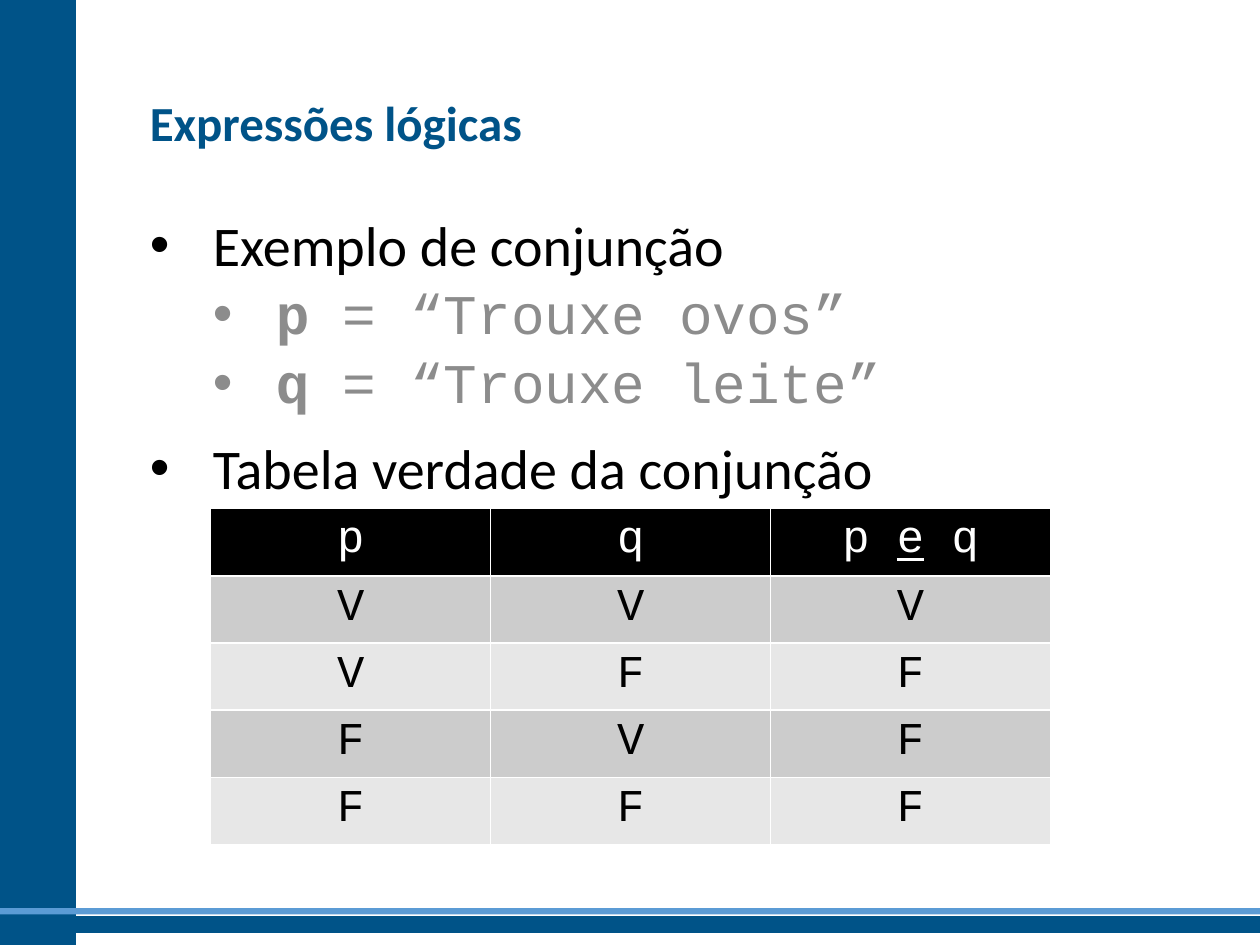
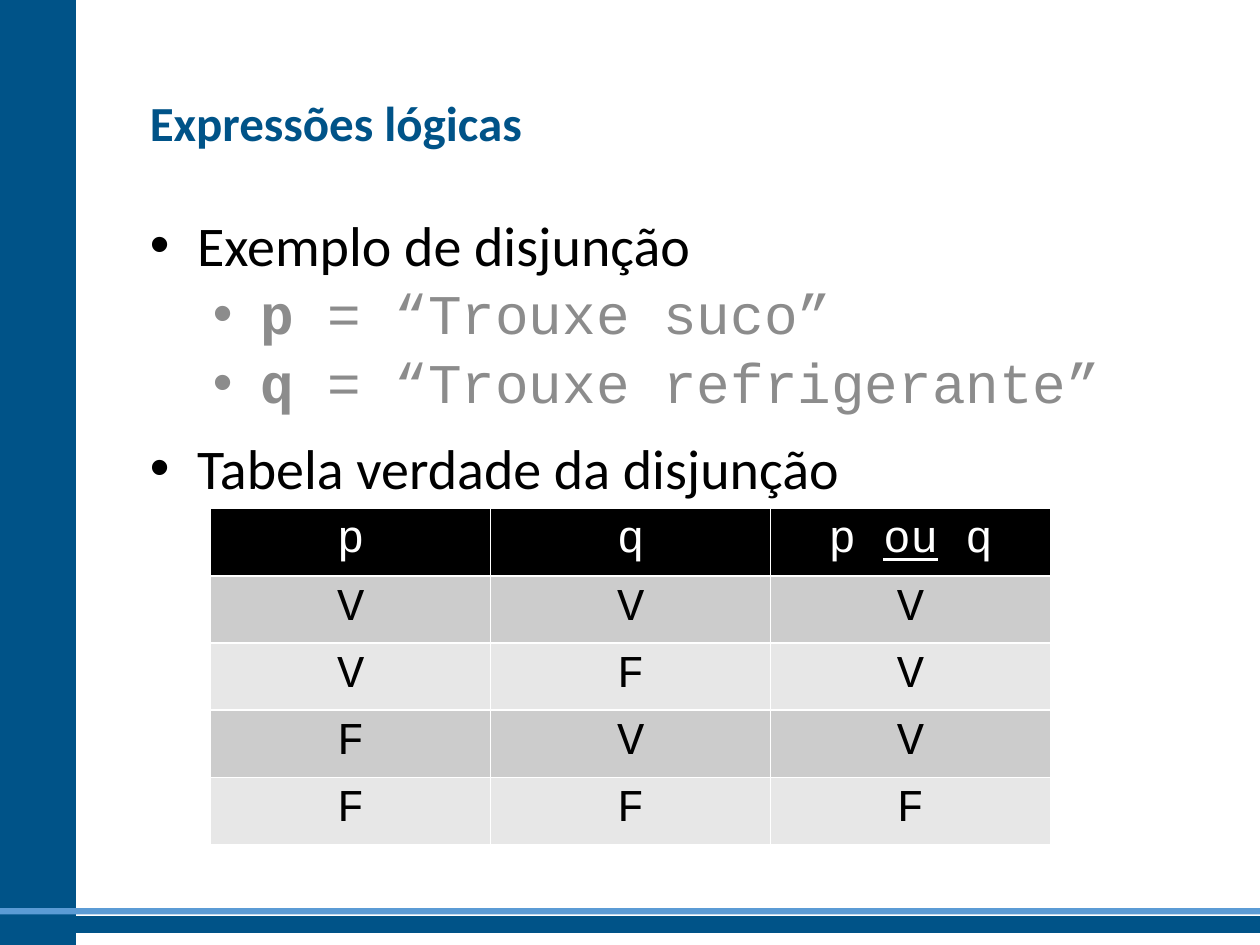
from lxml import etree
from pptx import Presentation
from pptx.dml.color import RGBColor
from pptx.enum.shapes import MSO_SHAPE
from pptx.enum.text import MSO_ANCHOR, PP_ALIGN
from pptx.oxml.ns import qn
from pptx.util import Pt

RECT = MSO_SHAPE.RECTANGLE
MIDDLE = MSO_ANCHOR.MIDDLE
CENTER = PP_ALIGN.CENTER

NAVY = RGBColor(0x00, 0x53, 0x88)
SKY = RGBColor(0x5B, 0x9B, 0xD5)
BLACK = RGBColor(0x00, 0x00, 0x00)
WHITE = RGBColor(0xFF, 0xFF, 0xFF)
GRAY = RGBColor(0x8C, 0x8C, 0x8C)
ROW_FILLS = RGBColor(0xCC, 0xCC, 0xCC), RGBColor(0xE7, 0xE7, 0xE7)

SANS = "Calibri"
MONO = "Courier New"

SLIDE_W, SLIDE_H = 720, 540
TEXT_LEFT, TEXT_W = 78.5, 621.5
SUB_INDENT = 36
TABLE_LEFT, TABLE_TOP = 120.4, 290.6
COL_W, ROW_H = 160, 36.6


def add_run(p, text, size, font, color, bold=False, underline=False):
    r = p.add_run()
    r.text = text
    r.font.size = Pt(size)
    r.font.name = font
    r.font.color.rgb = color
    r.font.bold = bold
    r.font.underline = underline


def add_band(slide, left, top, width, height, color, outlined=True):
    sp = slide.shapes.add_shape(RECT, Pt(left), Pt(top), Pt(width), Pt(height))
    sp.shadow.inherit = False
    sp.fill.solid()
    sp.fill.fore_color.rgb = color
    if outlined:
        sp.line.color.rgb = color
        sp.line.width = Pt(1)
    else:
        sp.line.fill.background()


def add_text_box(slide, top, height):
    box = slide.shapes.add_textbox(Pt(TEXT_LEFT), Pt(top), Pt(TEXT_W), Pt(height))
    tf = box.text_frame
    tf.word_wrap = True
    return tf


def add_title(slide, text):
    tf = add_text_box(slide, 39, 65)
    tf.vertical_anchor = MIDDLE
    p = tf.paragraphs[0]
    p.line_spacing = 0.9
    p.space_before = Pt(10)
    add_run(p, text, 28, SANS, NAVY, bold=True)


def set_bullet(p, left, hanging):
    pPr = p._p.get_or_add_pPr()
    pPr.set("marL", str(Pt(left)))
    pPr.set("indent", str(-Pt(hanging)))
    etree.SubElement(pPr, qn("a:buFont"), typeface="Arial")
    etree.SubElement(pPr, qn("a:buChar"), char="•")


def add_topic(p, text, hanging):
    p.space_before = Pt(10)
    set_bullet(p, hanging, hanging)
    add_run(p, text, 32, SANS, BLACK)


def add_proposition(p, name, meaning, hanging):
    p.level = 1
    p.line_spacing = 0.9
    p.space_before = Pt(5)
    set_bullet(p, SUB_INDENT + hanging, hanging)
    add_run(p, name, 32, MONO, GRAY, bold=True)
    add_run(p, f" = “{meaning}”", 32, MONO, GRAY)


def add_body(slide, operation, article_topic, meanings, hanging):
    tf = add_text_box(slide, 116.6, 348)
    add_topic(tf.paragraphs[0], f"Exemplo de {operation}", hanging)
    for name, meaning in zip("pq", meanings):
        add_proposition(tf.add_paragraph(), name, meaning, hanging)
    add_topic(tf.add_paragraph(), article_topic, hanging)


def set_borders(cell):
    tcPr = cell._tc.get_or_add_tcPr()
    for i, side in enumerate(("lnL", "lnR", "lnT", "lnB")):
        ln = etree.Element(qn(f"a:{side}"), w=str(Pt(1)))
        fill = etree.SubElement(ln, qn("a:solidFill"))
        etree.SubElement(fill, qn("a:srgbClr"), val=str(WHITE))
        tcPr.insert(i, ln)


def fill_cell(cell, pieces, fill, color):
    """Write (text, underlined) pieces into a centred cell."""
    cell.fill.solid()
    cell.fill.fore_color.rgb = fill
    set_borders(cell)
    p = cell.text_frame.paragraphs[0]
    p.alignment = CENTER
    for text, underline in pieces:
        add_run(p, text, 26, MONO, color, underline=underline)


def add_truth_table(slide, operator, results):
    header = [[("p", False)], [("q", False)],
              [("p ", False), (operator, True), (" q", False)]]
    inputs = ("VV", "VF", "FV", "FF")
    rows = len(inputs) + 1
    frame = slide.shapes.add_table(rows, len(header), Pt(TABLE_LEFT), Pt(TABLE_TOP),
                                   Pt(COL_W * len(header)), Pt(ROW_H * rows))
    table = frame.table
    for column in table.columns:
        column.width = Pt(COL_W)
    for row in table.rows:
        row.height = Pt(ROW_H)
    for c, pieces in enumerate(header):
        fill_cell(table.cell(0, c), pieces, BLACK, WHITE)
    for r, (pair, result) in enumerate(zip(inputs, results)):
        for c, value in enumerate(pair + result):
            fill_cell(table.cell(r + 1, c), [(value, False)], ROW_FILLS[r % 2], BLACK)


def add_base_slide(prs):
    """Add a slide with the side band, the footer bands and the title."""
    slide = prs.slides.add_slide(prs.slide_layouts[6])
    add_band(slide, 0, 0, 43, SLIDE_H, NAVY)
    add_band(slide, 0, 524, SLIDE_W, 8.6, NAVY)
    add_band(slide, 0, 519, SLIDE_W, 3.6, SKY, outlined=False)
    add_title(slide, "Expressões lógicas")
    return slide


def main():
    prs = Presentation()
    prs.slide_width, prs.slide_height = Pt(SLIDE_W), Pt(SLIDE_H)

    slide = add_base_slide(prs)
    add_body(slide, "conjunção", "Tabela verdade da conjunção",
             ("Trouxe ovos", "Trouxe leite"), hanging=36)
    add_truth_table(slide, "e", "VFFF")

    slide = add_base_slide(prs)
    add_body(slide, "disjunção", "Tabela verdade da disjunção",
             ("Trouxe suco", "Trouxe refrigerante"), hanging=27)
    add_truth_table(slide, "ou", "VVVF")

    prs.save("out.pptx")


if __name__ == "__main__":
    main()
